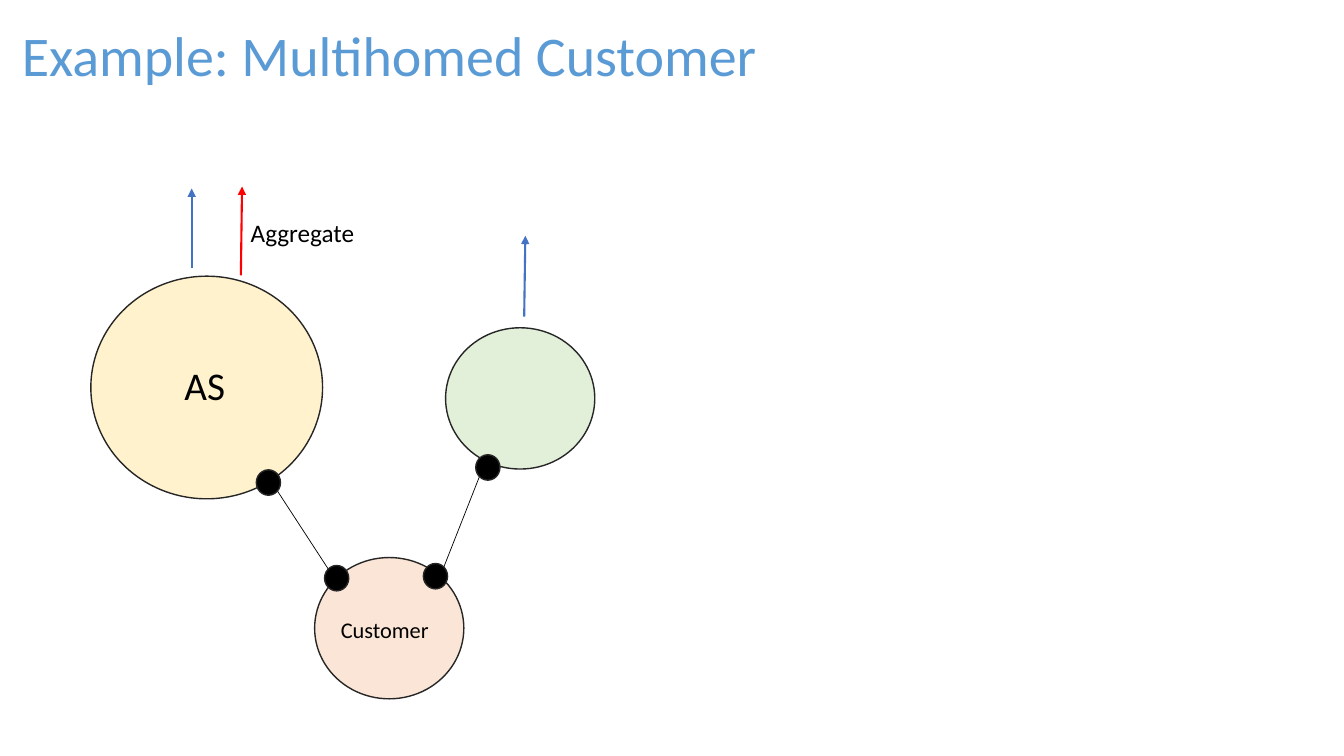
import pptx
import pptx.util
import pptx.dml.color
import pptx.enum.shapes
import pptx.enum.text
import pptx.oxml.ns
import lxml.etree

Cm, Pt = pptx.util.Cm, pptx.util.Pt
ANCHOR = pptx.enum.text.MSO_ANCHOR
FONT = "Calibri"
BLACK, BLUE, RED = "000000", "4472C4", "FF0000"
EDGE = "262626"


def color(code):
    return pptx.dml.color.RGBColor.from_string(code)


def disc(slide, left, top, width, height, fill):
    oval = slide.shapes.add_shape(pptx.enum.shapes.MSO_SHAPE.OVAL,
                                  Cm(left), Cm(top), Cm(width), Cm(height))
    oval.shadow.inherit = False
    oval.fill.solid()
    oval.fill.fore_color.rgb = color(fill)
    oval.line.color.rgb = color(EDGE)
    oval.line.width = Pt(1)


def link(slide, start, end, ink, width, arrow=False):
    line = slide.shapes.add_connector(pptx.enum.shapes.MSO_CONNECTOR.STRAIGHT,
                                      *map(Cm, start + end))
    line.line.color.rgb = color(ink)
    line.line.width = Pt(width)
    qn = pptx.oxml.ns.qn
    if arrow:
        lxml.etree.SubElement(line.line._get_or_add_ln(), qn("a:tailEnd"), type="triangle")
    lxml.etree.SubElement(line._element.spPr, qn("a:effectLst"))


def label(slide, box, text, size, ink=BLACK, spacing=1.0, wrap=True, anchor=ANCHOR.TOP):
    frame = slide.shapes.add_textbox(*map(Cm, box)).text_frame
    frame.word_wrap = wrap
    frame.vertical_anchor = anchor
    if not wrap:
        frame.auto_size = pptx.enum.text.MSO_AUTO_SIZE.SHAPE_TO_FIT_TEXT
    para = frame.paragraphs[0]
    para.line_spacing = spacing
    run = para.add_run()
    run.text = text
    run.font.name = FONT
    run.font.size = Pt(size)
    run.font.color.rgb = color(ink)


def title(slide, left, top, width, height):
    label(slide, (left, top, width, height), "Example: Multihomed Customer", 40,
          "5B9BD5", 0.9, anchor=ANCHOR.BOTTOM)


def network(slide, left, top):
    def at(x, y):
        return left + x, top + y

    # Links between customer and providers
    link(slide, at(8.89, 9.6), at(9.8, 7.29), BLACK, 0.5)
    link(slide, at(5.99, 9.65), at(4.7, 7.67), BLACK, 0.5)

    # Networks: AS, customer, second provider
    small = 3.76, 3.56
    disc(slide, *at(0, 2.26), 5.84, 5.61, "FFF2CC")
    disc(slide, *at(5.64, 9.35), *small, "FBE5D6")
    disc(slide, *at(8.94, 3.56), *small, "E2F0D9")

    # Border routers
    for x, y in ((5.89, 9.55), (8.38, 9.5), (9.7, 6.76), (4.17, 7.14)):
        disc(slide, *at(x, y), 0.61, 0.64, BLACK)

    # Route announcements
    for start, end, ink in (((3.78, 2.24), (3.81, 0), RED),
                            ((2.54, 2.06), (2.54, 0.05), BLUE),
                            ((10.92, 3.28), (10.95, 1.24), BLUE)):
        link(slide, at(*start), at(*end), ink, 1.5, arrow=True)

    # Names
    label(slide, (*at(2.11, 4.5), 1.6, 1.3), "AS", 28, spacing=0.8)
    label(slide, (*at(3.78, 0.64), 3.15, 1.02), "Aggregate", 18, wrap=False)
    label(slide, (*at(6.05, 10.82), 2.97, 0.84), "Customer", 16, spacing=0.8)


def main():
    deck = pptx.Presentation()
    deck.slide_width, deck.slide_height = Cm(33.87), Cm(19.05)
    slide = deck.slides.add_slide(deck.slide_layouts[6])
    network(slide, 2.29, 4.7)
    title(slide, 0.3, 0, 19.23, 2.36)
    deck.save("out.pptx")


if __name__ == "__main__":
    main()
